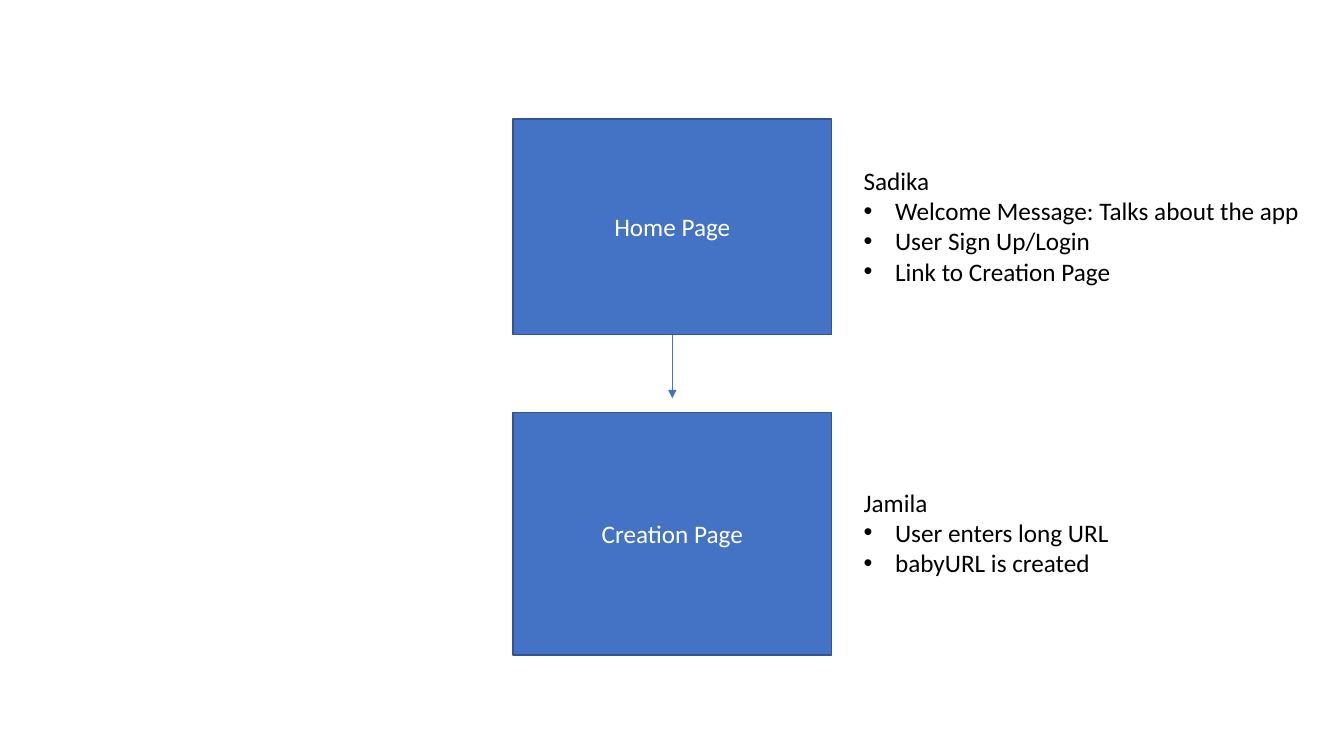
import pptx
import pptx.dml.color
import pptx.enum.shapes
import pptx.enum.text
import pptx.oxml.ns
import pptx.util
from lxml import etree

Pt = pptx.util.Pt
RGBColor = pptx.dml.color.RGBColor
qn = pptx.oxml.ns.qn

BLUE = RGBColor(0x44, 0x72, 0xC4)
DARK_BLUE = RGBColor(0x32, 0x54, 0x91)
WHITE = RGBColor(0xFF, 0xFF, 0xFF)
BLACK = RGBColor(0, 0, 0)

FONT = "Calibri"
BOX_LEFT, BOX_WIDTH = 366.5, 227.5
NOTE_LEFT = 609.8
INDENT = 22.5

# Page name, box top and height, note top, width and height, owner, tasks
PAGES = [
    ("Home Page", 85, 154, 114.5, 329, 94.3, "Sadika",
     ["Welcome Message: Talks about the app", "User Sign Up/Login",
      "Link to Creation Page"]),
    ("Creation Page", 294.5, 173.5, 344.2, 191.5, 72.7, "Jamila",
     ["User enters long URL", "babyURL is created"]),
]


def add_run(p, text, color):
    """Add one run of 18 pt text to a paragraph."""
    r = p.add_run()
    r.text = text
    r.font.name = FONT
    r.font.size = Pt(18)
    r.font.color.rgb = color


def add_bullet(p):
    """Give a paragraph a hanging round bullet."""
    pPr = p._p.get_or_add_pPr()
    pPr.set("marL", str(Pt(INDENT)))
    pPr.set("indent", str(-Pt(INDENT)))
    etree.SubElement(pPr, qn("a:buFont")).set("typeface", "Arial")
    etree.SubElement(pPr, qn("a:buChar")).set("char", "•")


def add_page_box(s, name, top, height):
    """Add the blue box of a page with its centred name."""
    sp = s.shapes.add_shape(pptx.enum.shapes.MSO_SHAPE.RECTANGLE, Pt(BOX_LEFT),
                            Pt(top), Pt(BOX_WIDTH), Pt(height))
    sp.shadow.inherit = False
    sp.fill.solid()
    sp.fill.fore_color.rgb = BLUE
    sp.line.color.rgb = DARK_BLUE
    sp.line.width = Pt(1)
    tf = sp.text_frame
    tf.vertical_anchor = pptx.enum.text.MSO_ANCHOR.MIDDLE
    p = tf.paragraphs[0]
    p.alignment = pptx.enum.text.PP_ALIGN.CENTER
    add_run(p, name, WHITE)


def add_note(s, top, width, height, owner, tasks):
    """Add the page owner's name and the bulleted tasks."""
    sp = s.shapes.add_textbox(Pt(NOTE_LEFT), Pt(top), Pt(width), Pt(height))
    tf = sp.text_frame
    tf.word_wrap = False
    tf.auto_size = pptx.enum.text.MSO_AUTO_SIZE.SHAPE_TO_FIT_TEXT
    add_run(tf.paragraphs[0], owner, BLACK)
    for task in tasks:
        p = tf.add_paragraph()
        add_bullet(p)
        add_run(p, task, BLACK)


def add_down_arrow(s, x, top, bottom):
    """Add a thin vertical arrow that points down."""
    line = s.shapes.add_connector(pptx.enum.shapes.MSO_CONNECTOR.STRAIGHT,
                                  Pt(x), Pt(top), Pt(x), Pt(bottom))
    line.line.color.rgb = BLUE
    line.line.width = Pt(0.5)
    ln = line.line._get_or_add_ln()
    etree.SubElement(ln, qn("a:tailEnd")).set("type", "triangle")
    etree.SubElement(line._element.spPr, qn("a:effectLst"))


def main():
    """Build the page flow slide and save it."""
    prs = pptx.Presentation()
    prs.slide_width, prs.slide_height = Pt(960), Pt(540)
    s = prs.slides.add_slide(prs.slide_layouts[6])
    for name, box_top, box_height, *note in PAGES:
        add_page_box(s, name, box_top, box_height)
        add_note(s, *note)
    add_down_arrow(s, BOX_LEFT + BOX_WIDTH / 2, 239, 284.5)
    prs.save("out.pptx")


main()
